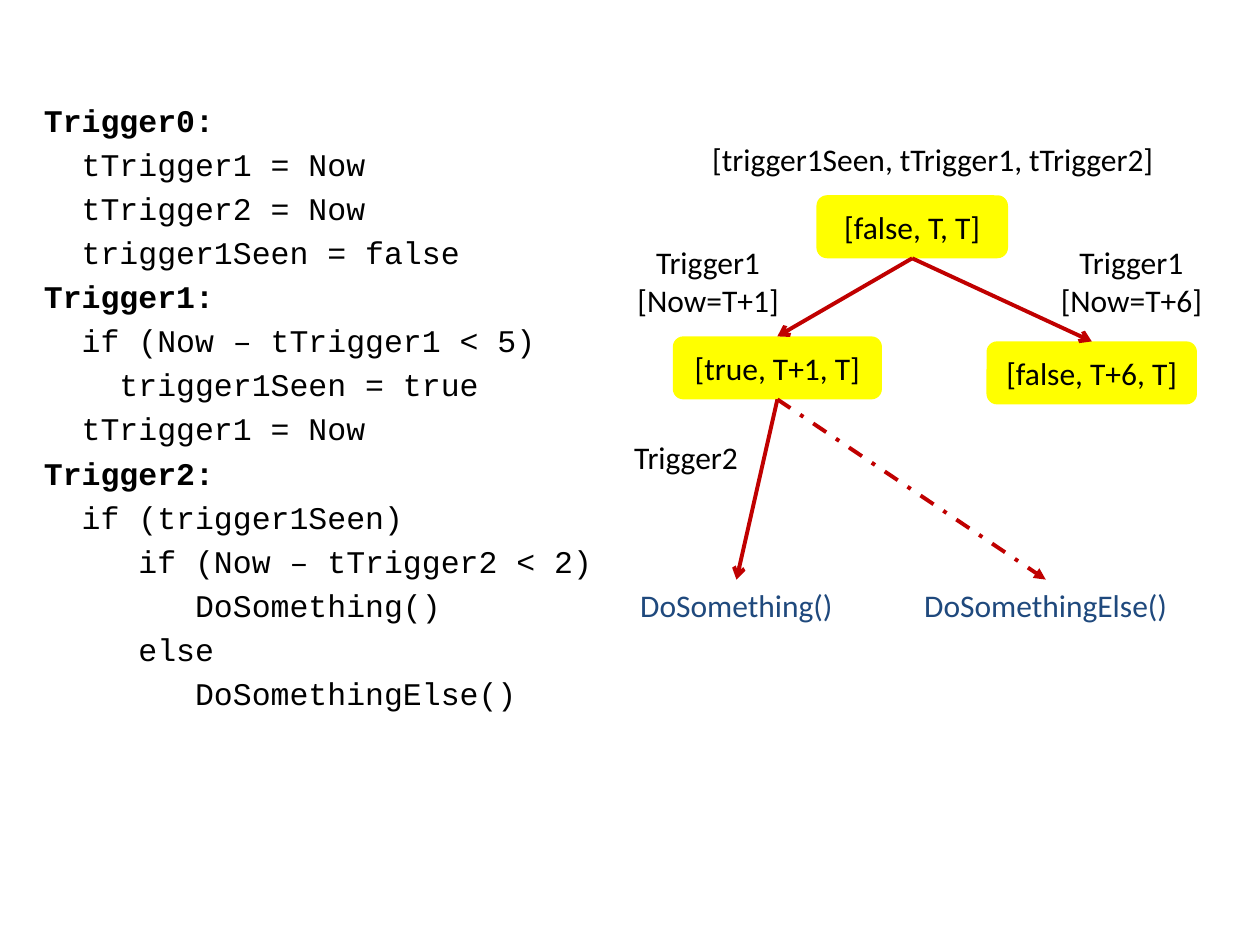
from dataclasses import dataclass

from lxml.etree import SubElement
from pptx import Presentation
from pptx.dml.color import RGBColor as RGB
from pptx.enum.dml import MSO_LINE as Dash
from pptx.enum.shapes import MSO_CONNECTOR as Conn, MSO_SHAPE as Shape
from pptx.enum.text import MSO_ANCHOR as Anchor, MSO_AUTO_SIZE as Fit, PP_ALIGN as Align
from pptx.oxml.ns import qn
from pptx.util import Inches, Pt

COLS, ROWS = 100, 75  # grid of 0.1 inch cells
TOP, BOTTOM = 0, 2    # connection sites


@dataclass(frozen=True)
class Theme:
    text: RGB = RGB(0, 0, 0)
    action: RGB = RGB(0x1F, 0x49, 0x7D)
    node: RGB = RGB(0xFF, 0xFF, 0)
    arrow: RGB = RGB(0xC0, 0, 0)
    body: str = "Calibri"
    code: str = "Courier New"
    size: Pt = Pt(18)
    arrow_width: Pt = Pt(2.25)
    code_gap: Pt = Pt(3.6)


@dataclass(frozen=True)
class Box:
    """A text placed by grid column, row, width and height."""
    text: str
    col: float
    row: float
    cols: float
    rows: float
    color: RGB = Theme.text


@dataclass(frozen=True)
class Arrow:
    start: str
    end: str
    head: str = "arrow"
    dash: Dash | None = None


THEME = Theme()

STATES = {
    "start": Box("[false, T, T]", 64.8, 15.5, 15.2, 5),
    "seen": Box("[true, T+1, T]", 53.4, 26.7, 16.6, 5),
    "late": Box("[false, T+6, T]", 78.3, 27.1, 16.7, 5),
}
ACTIONS = {
    "do": Box("DoSomething()", 49.4, 46, 18.1, 4, THEME.action),
    "else": Box("DoSomethingElse()", 71.8, 46, 22.4, 4, THEME.action),
}
LABELS = [
    Box("[trigger1Seen, tTrigger1, tTrigger2]", 54.8, 10.6, 38.5, 4),
    Box("Trigger1 [Now=T+1]", 49.2, 18.8, 14, 7.1),
    Box("Trigger1 [Now=T+6]", 83, 18.8, 13.6, 7.1),
    Box("Trigger2", 47.2, 34.3, 14.5, 4),
]
ARROWS = [
    Arrow("start", "seen"),
    Arrow("start", "late"),
    Arrow("seen", "do"),
    Arrow("seen", "else", "triangle", Dash.DASH_DOT),
]
CODE = """\
Trigger0:
  tTrigger1 = Now
  tTrigger2 = Now
  trigger1Seen = false
Trigger1:
  if (Now – tTrigger1 < 5)
    trigger1Seen = true
  tTrigger1 = Now
Trigger2:
  if (trigger1Seen)
     if (Now – tTrigger2 < 2)
        DoSomething()
     else
        DoSomethingElse()"""


def place(prs, col: float, row: float, cols: float, rows: float) -> list[int]:
    w, h = prs.slide_width / COLS, prs.slide_height / ROWS
    return [round(v) for v in (col * w, row * h, cols * w, rows * h)]


def add_run(p, text: str, font: str, color: RGB, bold: bool = False) -> None:
    r = p.add_run()
    r.text = text
    r.font.name, r.font.size, r.font.bold = font, THEME.size, bold
    r.font.color.rgb = color


def write_centred(sp, box: Box) -> None:
    sp.text_frame.word_wrap = True
    p = sp.text_frame.paragraphs[0]
    p.alignment = Align.CENTER
    add_run(p, box.text, THEME.body, box.color)


def draw_label(prs, s, box: Box):
    sp = s.shapes.add_textbox(*place(prs, box.col, box.row, box.cols, box.rows))
    write_centred(sp, box)
    sp.text_frame.auto_size = Fit.SHAPE_TO_FIT_TEXT
    return sp


def draw_state(prs, s, box: Box):
    sp = s.shapes.add_shape(Shape.ROUNDED_RECTANGLE,
                            *place(prs, box.col, box.row, box.cols, box.rows))
    sp.shadow.inherit = False
    sp.fill.solid()
    sp.fill.fore_color.rgb = THEME.node
    sp.line.fill.background()
    sp.text_frame.vertical_anchor = Anchor.MIDDLE
    write_centred(sp, box)
    return sp


def draw_arrow(s, arrow: Arrow, ends: dict) -> None:
    cn = s.shapes.add_connector(Conn.STRAIGHT, 0, 0, 0, 0)
    cn.begin_connect(ends[arrow.start], BOTTOM)
    cn.end_connect(ends[arrow.end], TOP)
    cn.line.color.rgb = THEME.arrow
    cn.line.width = THEME.arrow_width
    if arrow.dash:
        cn.line.dash_style = arrow.dash
    SubElement(cn.line._get_or_add_ln(), qn("a:tailEnd"), type=arrow.head)
    SubElement(cn._element.spPr, qn("a:effectLst"))


def draw_code(prs, s, code: str) -> None:
    tf = s.shapes.add_textbox(*place(prs, 2.5, 7.5, 46.3, 54.5)).text_frame
    tf.word_wrap = True
    for i, line in enumerate(code.splitlines()):
        p = tf.add_paragraph() if i else tf.paragraphs[0]
        if i:
            p.space_before = THEME.code_gap
        add_run(p, line, THEME.code, THEME.text, bold=line.endswith(":"))


def main() -> None:
    prs = Presentation()
    prs.slide_width, prs.slide_height = Inches(10), Inches(7.5)
    s = prs.slides.add_slide(prs.slide_layouts[6])

    # State tree
    for label in LABELS:
        draw_label(prs, s, label)
    ends = {key: draw_state(prs, s, box) for key, box in STATES.items()}
    ends |= {key: draw_label(prs, s, box) for key, box in ACTIONS.items()}
    for arrow in ARROWS:
        draw_arrow(s, arrow, ends)

    # Trigger code
    draw_code(prs, s, CODE)
    prs.save("out.pptx")


if __name__ == "__main__":
    main()
